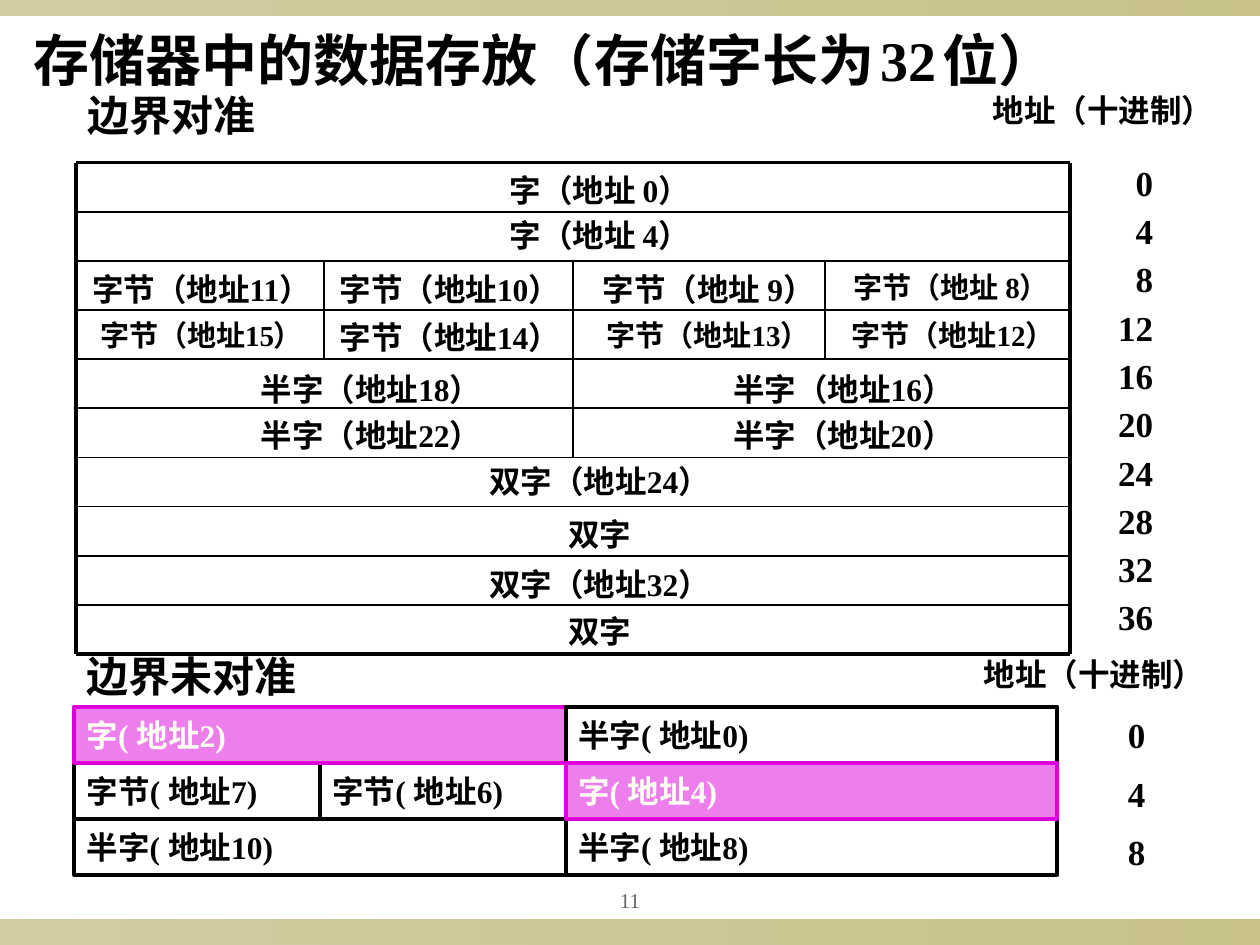
"""Build the slide on aligned and unaligned data storage in memory."""
from lxml.etree import SubElement
from pptx import Presentation
from pptx.dml.color import RGBColor
from pptx.enum.shapes import MSO_CONNECTOR, MSO_SHAPE
from pptx.enum.text import MSO_ANCHOR, PP_ALIGN
from pptx.oxml.ns import qn
from pptx.util import Inches, Pt

BLACK = RGBColor(0x00, 0x00, 0x00)
GRAY = RGBColor(0x63, 0x63, 0x63)
OLIVE = RGBColor(0x91, 0x84, 0x15)
MAGENTA = RGBColor(0xDD, 0x00, 0xDD)
IVORY = RGBColor(0xFF, 0xFF, 0xF4)
FONT = "Times New Roman"
PADDING = (0.1, 0.05, 0.1, 0.05)
TIGHT = (0.06, 0, 0.02, 0)

BANDS = [(7.3, 0.2), (0, 0.12)]
TITLE = [("存储器中的数据存放（存储字长为", 32), (" ", 14), ("32", 32), (" ", 14), ("位）", 32)]
HEADINGS = [(0.6, 0.66, "边界对准"), (0.59, 5.11, "边界未对准")]
ADDRESS_HEADINGS = [(7.78, 0.67), (7.71, 5.15)]
ADDRESS_COLUMNS = [
    ((8.77, 1.18, 0.48, 3.94), range(0, 40, 4), 1.15),
    ((8.85, 5.48, 0.34, 1.5), range(0, 12, 4), 1.4),
]

FULL = (0.99, 7.5)
LEFT_HALF = (0.99, 3.87)
RIGHT_HALF = (4.86, 3.63)
ALIGNED_ROWS = [
    (1.32, [(FULL, "字（地址 0）", 18)]),
    (1.68, [(FULL, "字（地址 4）", 18)]),
    (2.11, [((0.6, 1.96), "字节（地址11）", 18), ((2.55, 2), "字节（地址10）", 18),
            ((4.52, 2.17), "字节（地址 9）", 18), ((6.59, 1.88), "字节（地址 8）", 16.6)]),
    (2.49, [((0.6, 1.96), "字节（地址15）", 16.6), ((2.55, 2), "字节（地址14）", 18),
            ((4.63, 1.94), "字节（地址13）", 16.6), ((6.61, 1.87), "字节（地址12）", 16.6)]),
    (2.9, [(LEFT_HALF, "半字（地址18）", 18), (RIGHT_HALF, "半字（地址16）", 18)]),
    (3.27, [(LEFT_HALF, "半字（地址22）", 18), (RIGHT_HALF, "半字（地址20）", 18)]),
    (3.63, [(FULL, "双字（地址24）", 18)]),
    (4.05, [(FULL, "双字", 18)]),
    (4.45, [(FULL, "双字（地址32）", 18)]),
    (4.82, [(FULL, "双字", 18)]),
]
GRID_LEFT, GRID_RIGHT, GRID_TOP, ROW_HEIGHT = 0.6, 8.49, 1.29, 0.39
DIVIDERS = [(2.57, 2, 4), (4.55, 2, 6), (6.55, 2, 4)]

UNALIGNED_LEFT, UNALIGNED_TOP = 0.59, 5.61
QUARTER, UNALIGNED_HEIGHT = 1.95, 0.445
UNALIGNED_CELLS = [
    (1, 0, 1, "字节( 地址7)", False),
    (1, 1, 1, "字节( 地址6)", False),
    (0, 0, 2, "字( 地址2)", True),
    (2, 0, 2, "半字( 地址10)", False),
    (2, 2, 2, "半字( 地址8)", False),
    (0, 2, 2, "半字( 地址0)", False),
    (1, 2, 2, "字( 地址4)", True),
]


def set_alphas(shape, *percents):
    for color, percent in zip(shape._element.spPr.iter(qn("a:srgbClr")), percents):
        SubElement(color, qn("a:alpha")).set("val", str(percent * 1000))


def add_rectangle(page, place):
    shape = page.shapes.add_shape(MSO_SHAPE.RECTANGLE, *map(Inches, place))
    shape.shadow.inherit = False
    return shape


def write(shape, lines, size, color=BLACK, bold=True, align=PP_ALIGN.LEFT,
          anchor=MSO_ANCHOR.TOP, insets=PADDING, wrap=True, spacing=1.0):
    frame = shape.text_frame
    frame.word_wrap = wrap
    frame.vertical_anchor = anchor
    frame.margin_left, frame.margin_top, frame.margin_right, frame.margin_bottom = map(Inches, insets)
    frame.text = "\n".join(lines)
    for para in frame.paragraphs:
        para.alignment = align
        para.line_spacing = spacing
        para.font.name = FONT
        para.font.size = Pt(size)
        para.font.bold = bold
        para.font.color.rgb = color


def add_text(page, place, lines, size, **style):
    box = page.shapes.add_textbox(*map(Inches, place))
    write(box, lines, size, **style)
    return box


def add_line(page, start, end, width):
    line = page.shapes.add_connector(MSO_CONNECTOR.STRAIGHT, *map(Inches, start + end))
    line.line.color.rgb = BLACK
    line.line.width = Pt(width)
    SubElement(line._element.spPr, qn("a:effectLst"))


def add_frame(page):
    for top, height in BANDS:
        band = add_rectangle(page, (0, top, 10, height))
        band.fill.gradient()
        band.fill.gradient_angle = 0
        for stop, position in zip(band.fill.gradient_stops, (0, 1)):
            stop.color.rgb = OLIVE
            stop.position = position
        set_alphas(band, 40, 50)
        band.line.fill.background()
    add_text(page, (4.5, 7, 1, 0.31), ["11"], 11.9, color=GRAY, bold=False, align=PP_ALIGN.CENTER,
             anchor=MSO_ANCHOR.MIDDLE, insets=(0.05,) * 4, spacing=0.9)
    title = add_text(page, (0.17, 0.15, 9.17, 0.64), [""], 32)
    for text, size in TITLE:
        span = title.text_frame.paragraphs[0].add_run()
        span.text = text
        span.font.size = Pt(size)


def add_labels(page):
    for left, top, text in HEADINGS:
        add_text(page, (left, top, 3.1, 0.5), [text], 24)
    for left, top in ADDRESS_HEADINGS:
        add_text(page, (left, top, 1.95, 0.4), ["地址（十进制）"], 18, wrap=False)
    for place, addresses, spacing in ADDRESS_COLUMNS:
        add_text(page, place, map(str, addresses), 20, align=PP_ALIGN.RIGHT, wrap=False, spacing=spacing)


def add_aligned_grid(page):
    for top, cells in ALIGNED_ROWS:
        for (left, width), text, size in cells:
            add_text(page, (left, top, width, 0.37), [text], size, align=PP_ALIGN.CENTER,
                     anchor=MSO_ANCHOR.MIDDLE, insets=TIGHT, spacing=1.0 if size == 18 else 0.9)
    last = len(ALIGNED_ROWS)
    edges = [GRID_TOP + ROW_HEIGHT * index for index in range(last + 1)]
    for index, y in enumerate(edges):
        add_line(page, (GRID_LEFT, y), (GRID_RIGHT, y), 2.25 if index in (0, last) else 1)
    for x in (GRID_LEFT, GRID_RIGHT):
        add_line(page, (x, edges[0]), (x, edges[-1]), 2.25)
    for x, first, end in DIVIDERS:
        add_line(page, (x, edges[first]), (x, edges[end]), 1)


def add_unaligned_grid(page):
    for row, column, quarters, text, crossing in UNALIGNED_CELLS:
        cell = add_rectangle(page, (UNALIGNED_LEFT + column * QUARTER, UNALIGNED_TOP + row * UNALIGNED_HEIGHT,
                                    quarters * QUARTER, UNALIGNED_HEIGHT))
        if crossing:
            cell.fill.solid()
            cell.fill.fore_color.rgb = MAGENTA
            set_alphas(cell, 50)
        else:
            cell.fill.background()
        cell.line.color.rgb = MAGENTA if crossing else BLACK
        cell.line.width = Pt(2.25)
        write(cell, [text], 18, color=IVORY if crossing else BLACK, anchor=MSO_ANCHOR.MIDDLE, wrap=False)


def main():
    deck = Presentation()
    deck.slide_width, deck.slide_height = Inches(10), Inches(7.5)
    page = deck.slides.add_slide(deck.slide_layouts[6])
    add_frame(page)
    add_labels(page)
    add_aligned_grid(page)
    add_unaligned_grid(page)
    deck.save("out.pptx")


if __name__ == "__main__":
    main()
